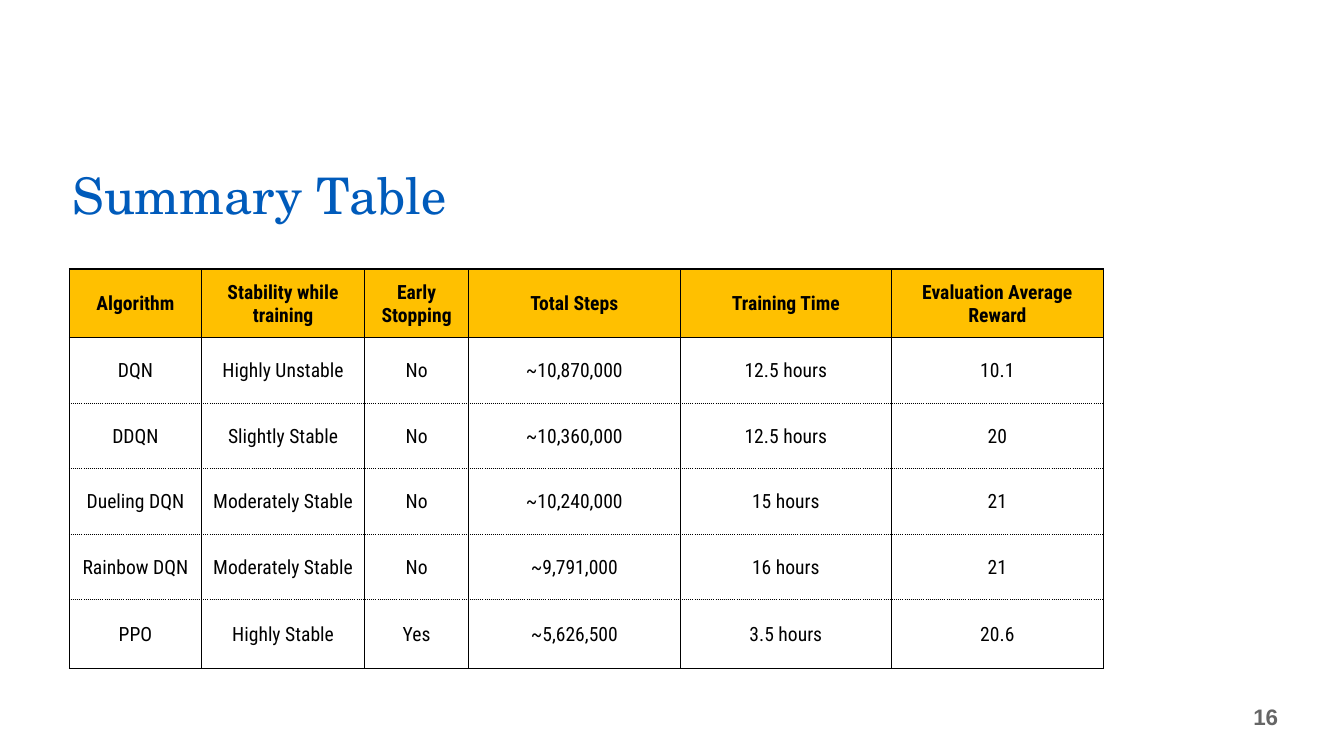
from lxml.etree import SubElement
from pptx import Presentation
from pptx.dml.color import RGBColor
from pptx.enum.text import MSO_ANCHOR as Anchor, MSO_AUTO_SIZE as AutoSize, PP_ALIGN as Align
from pptx.oxml.ns import qn
from pptx.util import Cm, Pt

COLORS = {"title": "005BBB", "header": "FFC000", "ink": "000000", "number": "666666"}
FONTS = {"title": "TeX Gyre Schola", "table": "Roboto Condensed", "number": "Arial"}
SOLID, DOTTED = (1, "solid"), (0.5, "dot")

COLUMN_WIDTHS = [3.33, 4.11, 2.62, 5.33, 5.33, 5.33]
ROW_HEIGHTS = [1.73, 1.65, 1.65, 1.65, 1.65, 1.73]
SUMMARY = [
    ["Algorithm", "Stability while training", "Early Stopping",
     "Total Steps", "Training Time", "Evaluation Average Reward"],
    ["DQN", "Highly Unstable", "No", "~10,870,000", "12.5 hours", "10.1"],
    ["DDQN", "Slightly Stable", "No", "~10,360,000", "12.5 hours", "20"],
    ["Dueling DQN", "Moderately Stable", "No", "~10,240,000", "15 hours", "21"],
    ["Rainbow DQN", "Moderately Stable", "No", "~9,791,000", "16 hours", "21"],
    ["PPO", "Highly Stable", "Yes", "~5,626,500", "3.5 hours", "20.6"],
]


class SlideBuilder:
    def __init__(self, deck):
        self.slide = deck.slides.add_slide(deck.slide_layouts.get_by_name("Title Only"))

    def style(self, para, role, size, color, align, bold=False):
        para.alignment = align
        font = para.font
        font.name, font.size, font.bold = FONTS[role], Pt(size), bold
        font.color.rgb = RGBColor.from_string(COLORS[color])

    def title(self, text, left, top, width, height):
        box = self.slide.shapes.title
        box.left, box.top, box.width, box.height = map(Cm, (left, top, width, height))
        frame = box.text_frame
        frame.text = text
        frame.vertical_anchor = Anchor.BOTTOM
        frame.auto_size = AutoSize.SHAPE_TO_FIT_TEXT
        para = frame.paragraphs[0]
        para.line_spacing = 0.9
        self.style(para, "title", 36, "title", Align.LEFT)

    def page_number(self, text, left, top, width, height):
        box = self.slide.shapes.add_textbox(*map(Cm, (left, top, width, height)))
        frame = box.text_frame
        frame.word_wrap = True
        frame.vertical_anchor = Anchor.MIDDLE
        frame.text = text
        self.style(frame.paragraphs[0], "number", 16, "number", Align.RIGHT, bold=True)

    def table(self, rows, left, top, widths, heights):
        frame = self.slide.shapes.add_table(
            len(rows), len(widths), Cm(left), Cm(top), Cm(sum(widths)), Cm(sum(heights)))
        table = frame.table
        table.first_row = table.horz_banding = False
        for column, width in zip(table.columns, widths):
            column.width = Cm(width)
        for index, (row, height) in enumerate(zip(table.rows, heights)):
            row.height = Cm(height)
            above = SOLID if index < 2 else DOTTED
            below = SOLID if index in (0, len(rows) - 1) else DOTTED
            for cell, text in zip(row.cells, rows[index]):
                self.cell(cell, text, index == 0, above, below)

    def cell(self, cell, text, is_header, above, below):
        cell.text = text
        cell.vertical_anchor = Anchor.MIDDLE
        cell.margin_left = cell.margin_right = cell.margin_top = Cm(0.03)
        cell.margin_bottom = 0
        self.style(cell.text_frame.paragraphs[0], "table", 14, "ink", Align.CENTER, is_header)
        # Borders must precede the fill in the cell properties.
        for side, border in zip("LRTB", (SOLID, SOLID, above, below)):
            self.border(cell, side, *border)
        if is_header:
            cell.fill.solid()
            cell.fill.fore_color.rgb = RGBColor.from_string(COLORS["header"])
        else:
            cell.fill.background()

    def border(self, cell, side, width, dash):
        properties = cell._tc.get_or_add_tcPr()
        line = SubElement(properties, qn(f"a:ln{side}"), w=str(Pt(width)))
        fill = SubElement(line, qn("a:solidFill"))
        SubElement(fill, qn("a:srgbClr"), val=COLORS["ink"])
        SubElement(line, qn("a:prstDash"), val=dash)


def main():
    deck = Presentation()
    deck.slide_width, deck.slide_height = Cm(33.87), Cm(19.05)
    page = SlideBuilder(deck)
    page.title("Summary Table", 1.57, 4.17, 19.3, 1.65)
    page.page_number("16", 21.03, 17.55, 11.43, 1.02)
    page.table(SUMMARY, 1.75, 6.78, COLUMN_WIDTHS, ROW_HEIGHTS)
    deck.save("out.pptx")


if __name__ == "__main__":
    main()
